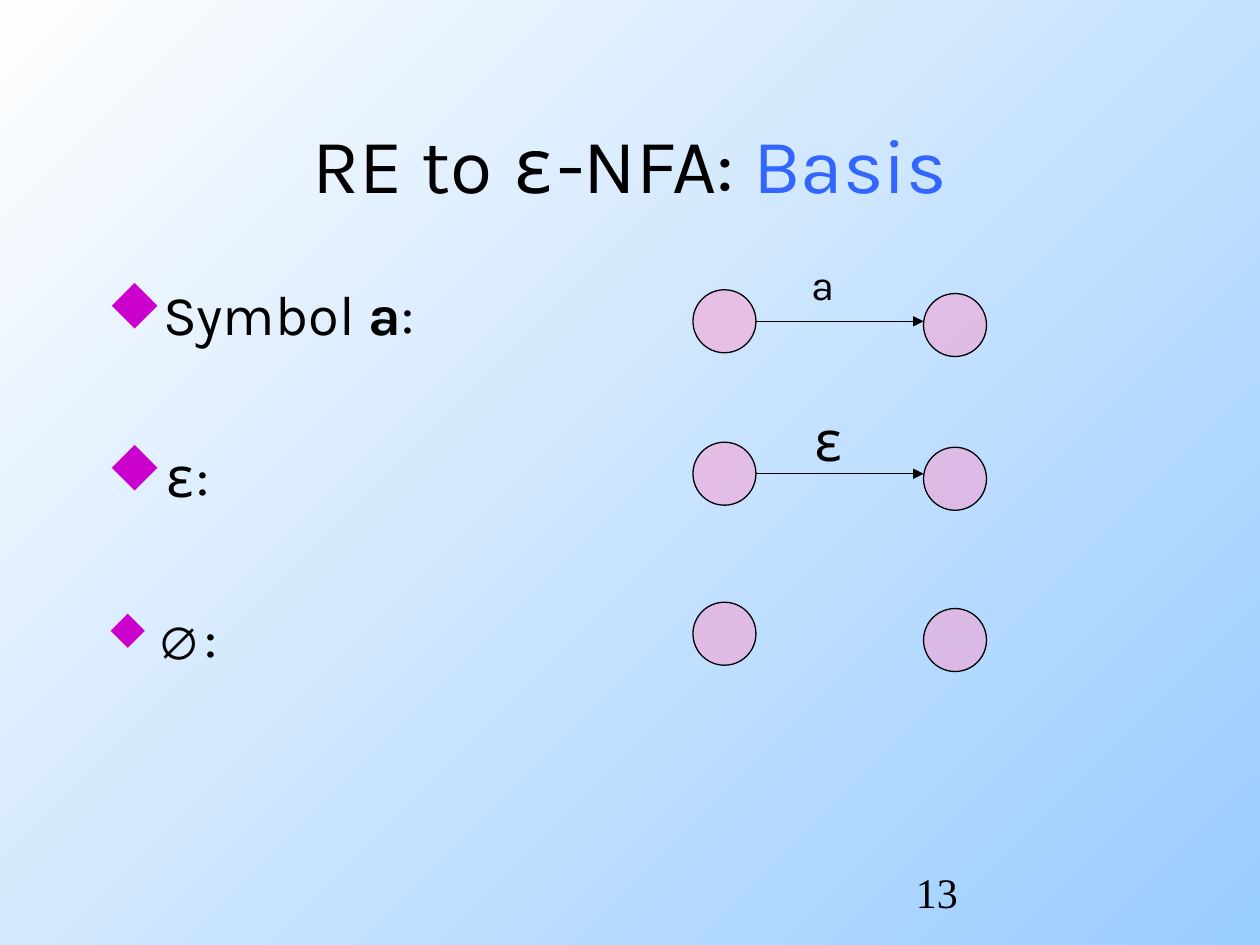
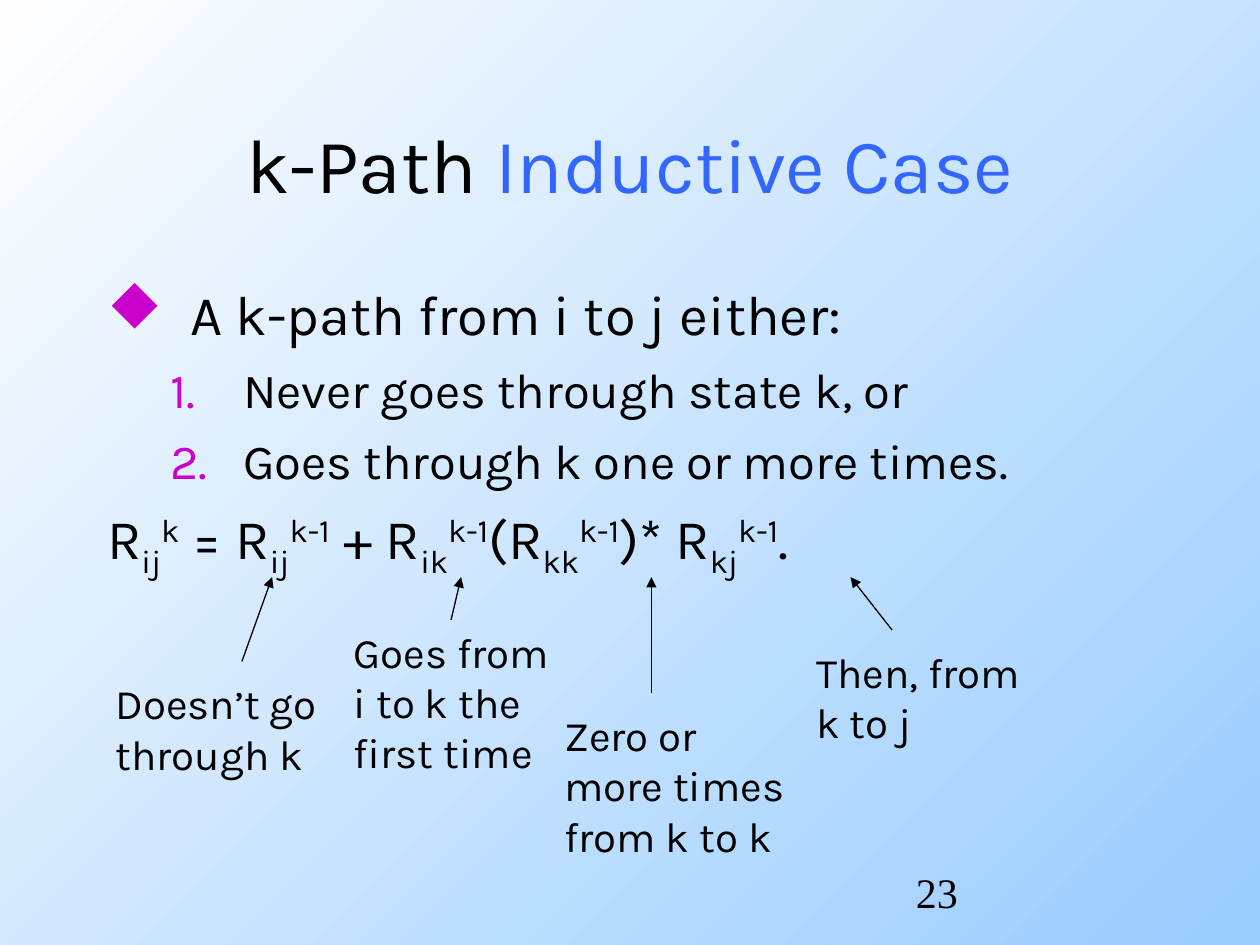
from lxml import etree
from pptx import Presentation
from pptx.dml.color import RGBColor
from pptx.enum.shapes import MSO_CONNECTOR as CONN, MSO_SHAPE as SHAPE
from pptx.enum.text import MSO_ANCHOR as ANCHOR, MSO_AUTO_SIZE as FIT, PP_ALIGN as ALIGN
from pptx.oxml.ns import qn
from pptx.util import Inches, Pt

COLORS = {
    "text": "000000",
    "accent": "3366FF",
    "bullet": "CC00CC",
    "state": "FF99CC",
    "bg_start": "99CCFF",
    "bg_end": "FEFEFE",
}
FONT, MONO, SERIF = "Karla", "Noto Sans Mono", "Times New Roman"
SYMBOLS, DIAMOND = "Wingdings", "u"
STATE_SIZE = 0.5
START_X, END_X = 5.5, 7.33


def rgb(name):
    return RGBColor.from_string(COLORS[name])


def child(parent, tag, **attrs):
    return etree.SubElement(parent, qn(tag), attrs)


def add_run(p, text, size=32, font=FONT, color="text", bold=False, baseline=0):
    r = p.add_run()
    r.text = text
    r.font.size = Pt(size)
    r.font.name = font
    r.font.bold = bold
    r.font.color.rgb = rgb(color)
    if baseline:
        r._r.get_or_add_rPr().set("baseline", str(baseline * 1000))


def set_background(prs):
    fill = prs.slide_master.background.fill
    fill.gradient()
    fill.gradient_angle = 135
    for stop, name in zip(fill.gradient_stops, ("bg_start", "bg_end")):
        stop.color.rgb = rgb(name)


def place(sp, left, top, width, height):
    sp.left, sp.top = Inches(left), Inches(top)
    sp.width, sp.height = Inches(width), Inches(height)


def add_slide(prs, title_runs, number):
    s = prs.slides.add_slide(prs.slide_layouts[1])
    title, body = s.shapes.title, s.placeholders[1]
    place(title, 0.75, 0.67, 8.5, 1.25)
    place(body, 0.75, 2.17, 8.5, 4.5)
    for sp in (title, body):
        sp.text_frame.auto_size = FIT.NONE
        sp.text_frame.word_wrap = True
    title.text_frame.vertical_anchor = ANCHOR.MIDDLE
    p = title.text_frame.paragraphs[0]
    p.alignment = ALIGN.CENTER
    for text, fmt in title_runs:
        add_run(p, text, size=44, **fmt)
    add_label(s, [number], 7.17, 6.83, 2.08, 0.5, font=SERIF)
    return s, body.text_frame


def add_item(tf, runs, left, hanging, bullet=None, before=0, level=0):
    first = not tf.paragraphs[0].runs
    p = tf.paragraphs[0] if first else tf.add_paragraph()
    p.level = level
    p.space_before = Pt(before)
    pPr = p._p.get_or_add_pPr()
    pPr.set("marL", str(Inches(left)))
    pPr.set("indent", str(-Inches(hanging)))
    if bullet:
        child(child(pPr, "a:buClr"), "a:srgbClr", val=COLORS["bullet"])
    if bullet == "number":
        child(pPr, "a:buFont", typeface=FONT)
        child(pPr, "a:buAutoNum", type="arabicPeriod")
    elif bullet:
        child(pPr, "a:buFont", typeface=SYMBOLS, charset="2")
        child(pPr, "a:buChar", char=bullet)
    else:
        child(pPr, "a:buNone")
    for text, fmt in runs:
        add_run(p, text, **fmt)


def add_label(s, lines, left, top, width, height, **fmt):
    box = s.shapes.add_textbox(*map(Inches, (left, top, width, height)))
    tf = box.text_frame
    tf.word_wrap = False
    for i, line in enumerate(lines):
        p = tf.add_paragraph() if i else tf.paragraphs[0]
        add_run(p, line, **{"size": 24, **fmt})


def add_state(s, left, top):
    sp = s.shapes.add_shape(SHAPE.OVAL, Inches(left), Inches(top),
                            Inches(STATE_SIZE), Inches(STATE_SIZE))
    sp.shadow.inherit = False
    sp.fill.solid()
    sp.fill.fore_color.rgb = rgb("state")
    child(sp._element.spPr.find(".//" + qn("a:srgbClr")), "a:alpha", val="50000")
    sp.line.color.rgb = rgb("text")
    sp.line.width = Pt(0.75)


def add_arrow(s, x1, y1, x2, y2):
    c = s.shapes.add_connector(CONN.STRAIGHT, *map(Inches, (x1, y1, x2, y2)))
    c.line.color.rgb = rgb("text")
    c.line.width = Pt(0.75)
    child(c.line._get_or_add_ln(), "a:tailEnd", type="triangle")
    child(c._element.spPr, "a:effectLst")


def build_basis(prs):
    s, tf = add_slide(prs, [("RE to ", {}), ("ε", {"font": MONO}), ("-NFA: ", {}),
                            ("Basis", {"color": "accent"})], "13")
    items = [
        [("Symbol ", {}), ("a", {"bold": True}), (":", {})],
        [("ε", {"font": MONO}), (":", {})],
        [("∅", {"font": MONO, "size": 24}), (":", {})],
    ]
    for i, runs in enumerate(items):
        add_item(tf, runs, 0.37, 0.37, DIAMOND, before=54 if i else 0)

    for start_y, end_y, joined in ((2.3, 2.33, True), (3.51, 3.55, True),
                                   (4.78, 4.83, False)):
        add_state(s, START_X, start_y)
        add_state(s, END_X, end_y)
        if joined:
            mid_y = start_y + STATE_SIZE / 2
            add_arrow(s, START_X + STATE_SIZE, mid_y, END_X, mid_y)
    add_label(s, ["a"], 6.34, 2, 0.38, 0.5)
    add_label(s, ["ε"], 6.34, 3.17, 0.41, 0.64, size=32, font=MONO)


def path_term(lead, sub, sup):
    return [(lead, {}), (sub, {"baseline": -25}), (sup, {"baseline": 30})]


def build_inductive_case(prs):
    s, tf = add_slide(prs, [("k-Path ", {}),
                            ("Inductive Case", {"color": "accent"})], "23")
    add_item(tf, [("A k-path from i to j either:", {})], 0.66, 0.66, DIAMOND)
    for text in ("Never goes through state k, or", "Goes through k one or more times."):
        add_item(tf, [(text, {"size": 28})], 1.08, 0.58, "number", before=7, level=1)
    formula = (path_term("R", "ij", "k") + path_term(" = R", "ij", "k-1")
               + path_term(" + R", "ik", "k-1") + path_term("(R", "kk", "k-1")
               + path_term(")* R", "kj", "k-1") + [(".", {})])
    add_item(tf, formula, 0.66, 0.66, before=8)

    arrow_tip_y = 4.58
    notes = [
        (["Doesn’t go", "through k"], (0.82, 5.33, 1.87, 0.9), (1.92, 5.25), 2.16),
        (["Goes from", "i to k the", "first time"], (2.71, 4.92, 1.84, 1.3), (3.58, 4.92), 3.66),
        (["Zero or", "more times", "from k to k"], (4.38, 5.58, 1.99, 1.3), (5.17, 5.5), 5.17),
        (["Then, from", "k to j"], (6.38, 5.08, 1.92, 0.9), (7.08, 5), 6.75),
    ]
    for lines, box, tail, tip_x in notes:
        add_label(s, lines, *box)
        add_arrow(s, *tail, tip_x, arrow_tip_y)


def main():
    prs = Presentation()
    prs.slide_width, prs.slide_height = Inches(10), Inches(7.5)
    set_background(prs)
    build_basis(prs)
    build_inductive_case(prs)
    prs.save("out.pptx")


if __name__ == "__main__":
    main()
